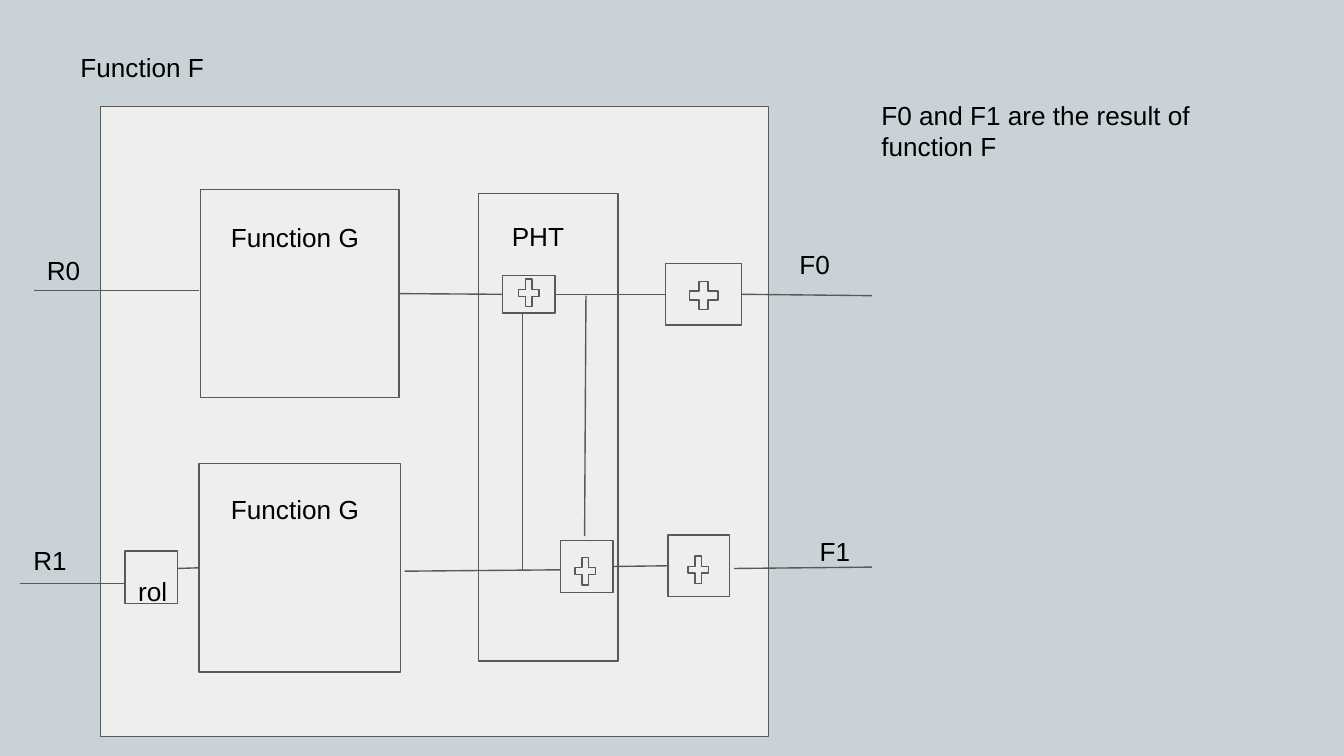
"""Build a block diagram of function F with its two G functions and the PHT."""
from lxml import etree
from pptx import Presentation
from pptx import util as u
from pptx.dml import color
from pptx.enum import shapes, text
from pptx.oxml import ns

TOP, LEFT, BOTTOM, RIGHT = range(4)


def rgb(value):
    return color.RGBColor.from_string(value)


class Diagram:
    font, size, ink = "Arial", 14, "000000"
    fill, stroke, weight = "EEEEEE", "595959", 0.75

    def __init__(self, slide, background):
        self.slide = slide
        bg = slide.background.fill
        bg.solid()
        bg.fore_color.rgb = rgb(background)

    def outline(self, sp):
        sp.line.color.rgb = rgb(self.stroke)
        sp.line.width = u.Pt(self.weight)

    def shape(self, kind, x, y, w, h):
        sp = self.slide.shapes.add_shape(kind, *map(u.Inches, (x, y, w, h)))
        sp.shadow.inherit = False
        sp.fill.solid()
        sp.fill.fore_color.rgb = rgb(self.fill)
        self.outline(sp)
        return sp

    def box(self, x, y, w, h):
        return self.shape(shapes.MSO_SHAPE.RECTANGLE, x, y, w, h)

    def plus(self, x, y, w=0.21, h=0.28):
        sp = self.shape(shapes.MSO_SHAPE.MATH_PLUS, x, y, w, h)
        sp.adjustments[0] = 0.235
        return sp

    def line(self, x1, y1, x2, y2, begin=None, end=None):
        sp = self.slide.shapes.add_connector(
            shapes.MSO_CONNECTOR.STRAIGHT, *map(u.Inches, (x1, y1, x2, y2)))
        self.outline(sp)
        etree.SubElement(sp._element.spPr, ns.qn("a:effectLst"))
        if begin:
            sp.begin_connect(*begin)
        if end:
            sp.end_connect(*end)
        return sp

    def label(self, words, x, y, w, h):
        sp = self.slide.shapes.add_textbox(*map(u.Inches, (x, y, w, h)))
        tf = sp.text_frame
        tf.word_wrap = True
        tf.vertical_anchor = text.MSO_ANCHOR.TOP
        tf.margin_left = tf.margin_right = u.Inches(0.1)
        tf.margin_top = tf.margin_bottom = u.Inches(0.1)
        r = tf.paragraphs[0].add_run()
        r.text = words
        r.font.name = self.font
        r.font.size = u.Pt(self.size)
        r.font.color.rgb = rgb(self.ink)
        return sp


def main():
    prs = Presentation()
    prs.slide_width = u.Inches(10)
    prs.slide_height = prs.slide_width * 9 // 16
    d = Diagram(prs.slides.add_slide(prs.slide_layouts[6]), "C9D3D7")

    d.box(0.75, 0.79, 4.97, 4.69)
    g0 = d.box(1.49, 1.41, 1.48, 1.55)
    g1 = d.box(1.48, 3.45, 1.5, 1.55)
    d.box(0.93, 4.1, 0.39, 0.39)
    d.box(3.56, 1.44, 1.04, 3.48)
    pht0 = d.box(3.74, 2.05, 0.39, 0.28)
    pht1 = d.box(4.17, 4.02, 0.39, 0.39)
    sum0 = d.box(4.95, 1.96, 0.57, 0.46)
    sum1 = d.box(4.97, 3.98, 0.46, 0.46)

    d.line(1.48, 2.16, 0.25, 2.16)
    d.line(2.98, 2.18, 3.74, 2.18, (g0, RIGHT), (pht0, LEFT))
    d.line(4.13, 2.19, 4.96, 2.19, (pht0, RIGHT), (sum0, LEFT))
    d.line(5.52, 2.19, 6.49, 2.2, (sum0, RIGHT))
    d.line(0.93, 4.34, 0.15, 4.34)
    d.line(1.48, 4.22, 1.32, 4.23, (g1, LEFT))
    d.line(3.01, 4.25, 4.17, 4.24)
    d.line(4.56, 4.21, 4.95, 4.21, (pht1, RIGHT), (sum1, LEFT))
    d.line(5.46, 4.23, 6.49, 4.22)
    d.line(3.89, 2.34, 3.89, 4.25)
    d.line(4.35, 3.99, 4.36, 2.2)

    d.plus(3.83, 2.04)
    d.plus(4.25, 4.11)
    d.plus(5.09, 2.06, 0.29)
    d.plus(5.09, 4.1)

    for words, *place in (
        ("Function F", 0.5, 0.28, 1.5, 0.5),
        ("R0", 0.25, 1.79, 0.5, 0.28),
        ("R1", 0.15, 3.95, 0.46, 0.28),
        ("rol", 0.93, 4.18, 0.5, 0.3),
        ("Function G", 1.62, 1.55, 1.23, 0.39),
        ("Function G", 1.62, 3.57, 1.23, 0.39),
        ("PHT", 3.71, 1.54, 0.64, 0.33),
        ("F0", 5.85, 1.75, 0.64, 0.28),
        ("F1", 6, 3.88, 0.5, 0.28),
        ("F0 and F1 are the result of function F", 6.46, 0.64, 3.04, 2.62),
    ):
        d.label(words, *place)

    prs.save("out.pptx")


if __name__ == "__main__":
    main()
